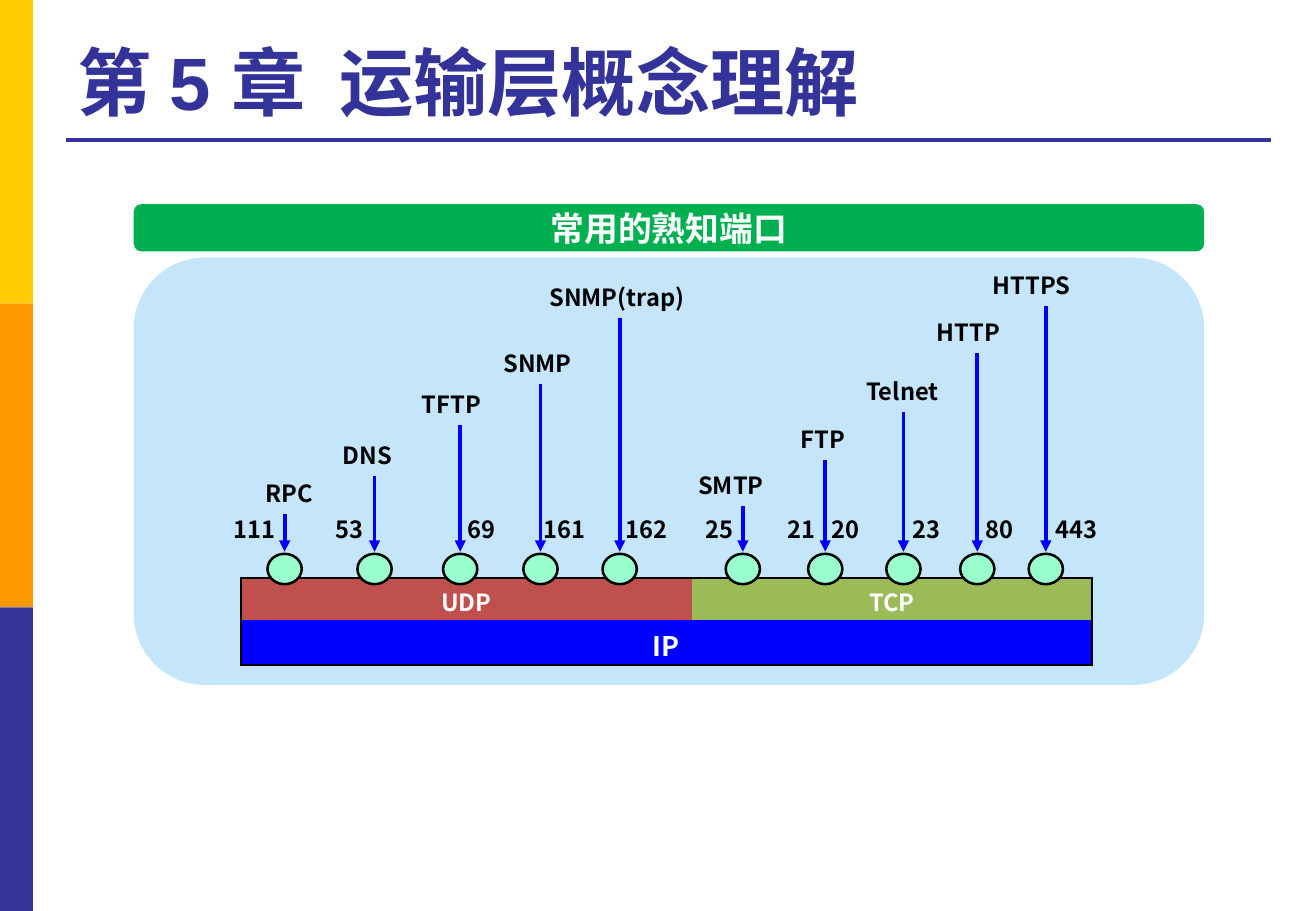
from dataclasses import dataclass

from lxml import etree
from pptx import Presentation
from pptx import util as u
from pptx.dml.color import RGBColor
from pptx.enum import shapes, text
from pptx.oxml.ns import qn

COLORS = {
    "yellow": "FFCC00", "orange": "FF9900", "indigo": "333399",
    "green": "00B050", "panel": "C5E5FB", "udp": "C0504D",
    "tcp": "9BBB59", "blue": "0000FF", "mint": "99FFCC",
    "black": "000000", "white": "FFFFFF",
}
LATIN = "Arial"
CJK = "Noto Sans CJK SC"

SERVICES = [
    ("RPC", 14.1, 11.2, 51.4, [("111", 8.2)]),
    ("DNS", 22.5, 18.4, 42.6, [("53", 17.7)]),
    ("TFTP", 30.5, 25.8, 30.7, [("69", 30.1)]),
    ("SNMP", 38, 33.4, 21, [("161", 37.2)]),
    ("SNMP(trap)", 45.4, 37.7, 5.7, [("162", 44.8)]),
    ("SMTP", 56.9, 51.6, 49.7, [("25", 52.3)]),
    ("FTP", 64.6, 61.2, 38.9, [("21", 60), ("20", 64.1)]),
    ("Telnet", 71.9, 67.3, 27.6, [("23", 71.6)]),
    ("HTTP", 78.8, 73.9, 13.9, [("80", 78.5)]),
    ("HTTPS", 85.2, 79.1, 2.8, [("443", 85)]),
]


@dataclass
class Box:
    left: int
    top: int
    width: int
    height: int

    def point(self, x, y):
        return (int(self.left + self.width * x / 100),
                int(self.top + self.height * y / 100))

    def area(self, x, y, width, height):
        return Box(*self.point(x, y), int(self.width * width / 100),
                   int(self.height * height / 100))

    def bounds(self):
        return self.left, self.top, self.width, self.height


def rgb(name):
    return RGBColor.from_string(COLORS[name])


def write(frame, words, size, color, font=CJK, align=text.PP_ALIGN.LEFT):
    paragraph = frame.paragraphs[0]
    paragraph.alignment = align
    run = paragraph.add_run()
    run.text = words
    run.font.size = u.Pt(size)
    run.font.bold = True
    run.font.name = font
    run.font.color.rgb = rgb(color)
    east_asian = etree.SubElement(run._r.get_or_add_rPr(), qn("a:ea"))
    east_asian.set("typeface", CJK)


def add_figure(slide, kind, box, fill, outline=None):
    shape = slide.shapes.add_shape(kind, *box.bounds())
    shape.shadow.inherit = False
    shape.fill.solid()
    shape.fill.fore_color.rgb = rgb(fill)
    if outline:
        shape.line.color.rgb = rgb(outline)
        shape.line.width = u.Pt(1.5)
    else:
        shape.line.fill.background()
    return shape


def add_line(slide, start, end, color, arrow=False):
    connector = slide.shapes.add_connector(
        shapes.MSO_CONNECTOR.STRAIGHT, *start, *end)
    connector.line.color.rgb = rgb(color)
    connector.line.width = u.Pt(2.25)
    properties = connector._element.spPr
    if arrow:
        tail = etree.SubElement(properties.find(qn("a:ln")), qn("a:tailEnd"))
        tail.set("type", "triangle")
    etree.SubElement(properties, qn("a:effectLst"))


def add_label(slide, box, words):
    frame = slide.shapes.add_textbox(*box.bounds()).text_frame
    frame.word_wrap = True
    frame.margin_top = u.Inches(0.01)
    frame.margin_bottom = 0
    write(frame, words, 14, "black")


def build_sidebar(slide, box):
    for row, color in enumerate(("yellow", "orange", "indigo")):
        add_figure(slide, shapes.MSO_SHAPE.RECTANGLE,
                   box.area(0, row * 100 / 3, 100, 100 / 3), color)


def build_title(slide, box):
    title = slide.shapes.title
    title.left, title.top, title.width, title.height = box.area(0, 0, 100, 92.5).bounds()
    frame = title.text_frame
    frame.auto_size = text.MSO_AUTO_SIZE.NONE
    frame.vertical_anchor = text.MSO_ANCHOR.BOTTOM
    write(frame, "第 5 章  运输层概念理解", 44, "indigo", LATIN)
    add_line(slide, box.point(0, 100), box.point(100, 100), "indigo")


def build_heading(slide, box):
    bar = add_figure(slide, shapes.MSO_SHAPE.ROUNDED_RECTANGLE, box, "green")
    frame = bar.text_frame
    frame.margin_top = frame.margin_bottom = 0
    frame.vertical_anchor = text.MSO_ANCHOR.MIDDLE
    write(frame, "常用的熟知端口", 20, "white", LATIN, text.PP_ALIGN.CENTER)


def set_borders(cell, visible):
    properties = cell._tc.get_or_add_tcPr()
    for index, side in enumerate("LRTB"):
        border = etree.Element(qn(f"a:ln{side}"), w=str(u.Pt(1.5)))
        if side in visible:
            fill = etree.SubElement(border, qn("a:solidFill"))
            etree.SubElement(fill, qn("a:srgbClr"), val=COLORS["black"])
        else:
            etree.SubElement(border, qn("a:noFill"))
        properties.insert(index, border)


def build_layers(slide, box):
    table = slide.shapes.add_table(2, 2, *box.bounds()).table
    table.first_row = table.horz_banding = False
    for column, share in zip(table.columns, (53, 47)):
        column.width = int(box.width * share / 100)
    for row, share in zip(table.rows, (48, 52)):
        row.height = int(box.height * share / 100)
    table.cell(1, 0).merge(table.cell(1, 1))
    layers = [(0, 0, "UDP", 14, "udp", "LT"), (0, 1, "TCP", 14, "tcp", "RT"),
              (1, 0, "IP", 16, "blue", "LRB"), (1, 1, "", 16, "blue", "RB")]
    for row, column, words, size, color, borders in layers:
        cell = table.cell(row, column)
        cell.fill.solid()
        cell.fill.fore_color.rgb = rgb(color)
        cell.margin_top = u.Inches(0.05)
        cell.margin_bottom = 0
        set_borders(cell, borders)
        if words:
            write(cell.text_frame, words, size, "white", align=text.PP_ALIGN.CENTER)


def build_service(slide, box, name, center, label_left, label_top, ports):
    add_figure(slide, shapes.MSO_SHAPE.OVAL,
               box.area(center - 1.6, 69.3, 3.2, 7.1), "mint", "black")
    add_line(slide, box.point(center, label_top + 8.5), box.point(center, 68.8),
             "blue", arrow=True)
    add_label(slide, box.area(label_left, label_top, 15, 9.6), name)
    for port, left in ports:
        add_label(slide, box.area(left, 59.9, 8, 9.6), port)


def build_port_diagram(slide, box):
    add_figure(slide, shapes.MSO_SHAPE.ROUNDED_RECTANGLE, box, "panel")
    build_layers(slide, box.area(10, 75, 79.5, 20.2))
    for service in SERVICES:
        build_service(slide, box, *service)


def main():
    presentation = Presentation()
    presentation.slide_width = u.Inches(10.83)
    presentation.slide_height = u.Inches(7.5)
    slide = presentation.slides.add_slide(presentation.slide_layouts[5])
    page = Box(0, 0, presentation.slide_width, presentation.slide_height)
    build_sidebar(slide, page.area(0, 0, 2.5, 100))
    build_title(slide, page.area(5, 2.8, 91.6, 12.53))
    build_heading(slide, page.area(10.16, 22.4, 81.35, 5.2))
    build_port_diagram(slide, page.area(10.16, 28.27, 81.35, 46.93))
    presentation.save("out.pptx")


if __name__ == "__main__":
    main()
